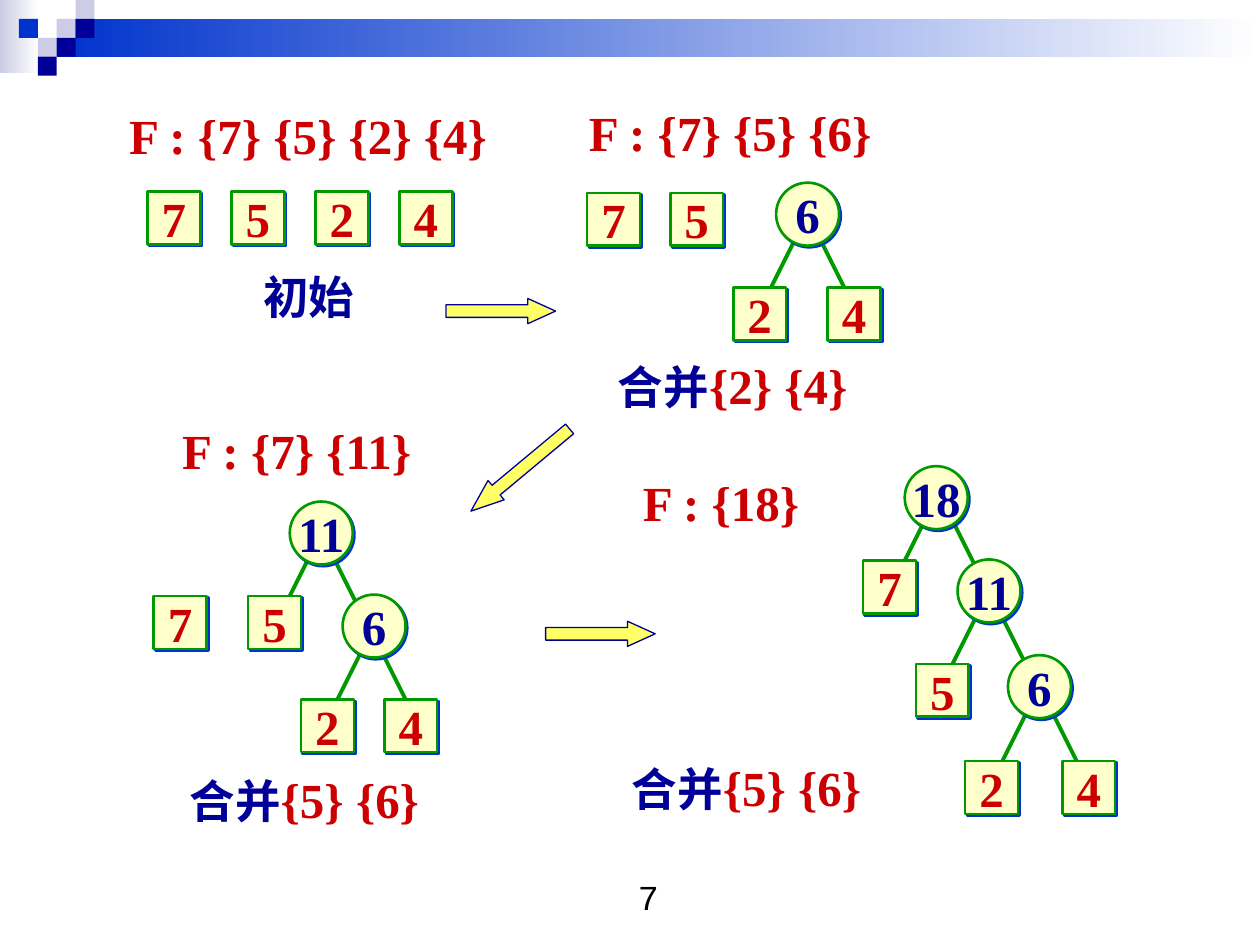
from lxml import etree
from pptx import Presentation
from pptx.dml.color import RGBColor
from pptx.enum.shapes import MSO_CONNECTOR, MSO_SHAPE
from pptx.enum.text import MSO_ANCHOR, MSO_AUTO_SIZE, PP_ALIGN
from pptx.oxml.ns import qn
from pptx.util import Pt

RECT, OVAL, ARROW = MSO_SHAPE.RECTANGLE, MSO_SHAPE.OVAL, MSO_SHAPE.RIGHT_ARROW
STRAIGHT = MSO_CONNECTOR.STRAIGHT
MIDDLE, CENTER = MSO_ANCHOR.MIDDLE, PP_ALIGN.CENTER
GROW = MSO_AUTO_SIZE.SHAPE_TO_FIT_TEXT

COLORS = {
    "white": "FFFFFF", "black": "000000", "lavender": "CCCCE6", "blue": "0033CC",
    "navy": "000099", "red": "CC0000", "cream": "FFFFCC", "green": "009900",
    "yellow": "FFFF66",
}
SERIF = "Times New Roman"
NODE_FRAME = {
    "margin_left": 0, "margin_right": 0, "margin_top": 0, "margin_bottom": 0,
    "vertical_anchor": MIDDLE, "word_wrap": False,
}
CAPTION_FRAME = {"vertical_anchor": MIDDLE, "word_wrap": False, "auto_size": GROW}
LEAF_SIZE, ROOT_SIZE = 30.24, 36
GRID = 10.8

HEADER_SQUARES = [
    (3, 1, "lavender"), (4, 0, "lavender"), (4, 1, "navy"), (2, 2, "lavender"),
    (1, 1, "blue"), (3, 2, "navy"), (2, 3, "navy"),
]
LEAVES = [
    *((label, 84.2 + 48 * i, 109.4) for i, label in enumerate("7524")),
    ("7", 335.5, 110.2), ("5", 383, 110.2), ("2", 419, 164.2), ("4", 473, 164.2),
    ("7", 87.8, 340.6), ("5", 141.8, 340.6), ("2", 172, 399.6), ("4", 219.6, 399.6),
    ("7", 493.2, 320.4), ("5", 523.4, 379.4), ("2", 551.5, 434.9), ("4", 607, 434.9),
]
ROOTS = [
    ("6", 443.5, 104.4, 30, 30),
    ("11", 165.6, 286.6, 30, 30), ("6", 195.8, 339.8, 30, 36),
    ("18", 517, 266.4, 30, 24.5), ("11", 547.2, 319.7, 30, 30), ("6", 576, 374.4, 30, 30),
]
FORESTS = [
    ("F : {7} {5} {2} {4}", 66.2, 56.9, 219.6),
    ("F : {7} {5} {6}", 329, 54.7, 176.4),
    ("F : {7} {11}", 96.5, 236.9, 146),
    ("F : {18}", 360, 266.2, 104),
]
MERGES = [("{2} {4}", 338.7, 199.4), ("{5} {6}", 93.9, 436.3), ("{5} {6}", 346.6, 429.1)]
STEPS = [
    (254.9, 170.6, 62.6, 1.1, 0),
    (260.6, 261.4, 73.4, 1.3, 140.2),
    (311.8, 355, 62.6, 1.1, 0),
]


def rgb(color):
    """Return the named colour."""
    return RGBColor.from_string(COLORS[color])


def apply_format(target, values):
    """Set each attribute in values on target."""
    for name, value in values.items():
        setattr(target, name, value)


def write_text(frame, runs, frame_format, font=SERIF, bold=True):
    """Write (text, size, colour) runs as one centred paragraph."""
    apply_format(frame, frame_format)
    paragraph = frame.paragraphs[0]
    paragraph.alignment = CENTER
    for text, size, color in runs:
        run = paragraph.add_run()
        run.text = text
        apply_format(run.font, {"name": font, "size": Pt(size), "bold": bold})
        run.font.color.rgb = rgb(color)


def add_text(slide, runs, left, top, width, height, frame_format, **style):
    """Add a text box."""
    box = slide.shapes.add_textbox(Pt(left), Pt(top), Pt(width), Pt(height))
    write_text(box.text_frame, runs, frame_format, **style)


def add_block(slide, kind, left, top, width, height, fill, line=None, weight=0):
    """Add a filled shape, outlined if a line colour is given."""
    block = slide.shapes.add_shape(kind, Pt(left), Pt(top), Pt(width), Pt(height))
    block.shadow.inherit = False
    block.fill.solid()
    block.fill.fore_color.rgb = rgb(fill)
    if line:
        block.line.color.rgb = rgb(line)
        block.line.width = Pt(weight)
    else:
        block.line.fill.background()
    return block


def add_fade(slide, left, top, width, height, color):
    """Add a bar that fades from a colour to white."""
    bar = add_block(slide, RECT, left, top, width, height, color)
    bar.fill.gradient()
    bar.fill.gradient_angle = 0
    for stop, name in zip(bar.fill.gradient_stops, (color, "white")):
        stop.color.rgb = rgb(name)


def add_header(slide):
    """Add the fading bars and the stair of small squares."""
    add_fade(slide, 0, 0, 22.3, 41.8, "lavender")
    add_fade(slide, 3 * GRID, GRID, 720 - 3 * GRID, 2 * GRID, "blue")
    for column, row, color in HEADER_SQUARES:
        add_block(slide, RECT, column * GRID, row * GRID, GRID, GRID, color)


def add_branch(slide, left, top, side):
    """Add a tree edge sloping down to the left (-1) or right (1)."""
    branch = slide.shapes.add_connector(
        STRAIGHT, Pt(left), Pt(top), Pt(left + side * 18), Pt(top + 36))
    branch.line.color.rgb = rgb("green")
    branch.line.width = Pt(2.25)
    etree.SubElement(branch._element.spPr, qn("a:effectLst"))


def add_node(slide, kind, label, left, top, size, color):
    """Add a labelled tree node with a hard blue shadow."""
    node = add_block(slide, kind, left, top, size, size, "cream", "green", 1.5)
    effects = node._element.spPr.find(qn("a:effectLst"))
    shadow = etree.SubElement(effects, qn("a:outerShdw"), dist=str(Pt(1.4)),
                              dir="2700000", algn="ctr", rotWithShape="0")
    etree.SubElement(shadow, qn("a:srgbClr"), val=COLORS["blue"])
    write_text(node.text_frame, [(label, 28, color)], NODE_FRAME)


def add_trees(slide):
    """Add all edges, then the nodes above them."""
    for _, left, top, *drops in ROOTS:
        for side, drop in zip((-1, 1), drops):
            add_branch(slide, left + ROOT_SIZE / 2 + side * 6, top + drop, side)
    for label, left, top in LEAVES:
        add_node(slide, RECT, label, left, top, LEAF_SIZE, "red")
    for label, left, top, *_ in ROOTS:
        add_node(slide, OVAL, label, left, top, ROOT_SIZE, "navy")


def add_step_arrow(slide, left, top, width, head, rotation):
    """Add a block arrow leading to the next step."""
    arrow = add_block(slide, ARROW, left, top, width, 14.4, "yellow", "navy", 0.75)
    arrow.adjustments[1] = head
    arrow.rotation = rotation


def main():
    """Build the slide on merging a forest into a Huffman tree."""
    deck = Presentation()
    apply_format(deck, {"slide_width": Pt(720), "slide_height": Pt(540)})
    slide = deck.slides.add_slide(deck.slide_layouts[6])
    add_header(slide)
    for forest, left, top, width in FORESTS:
        add_text(slide, [(forest, 28, "red")], left, top, width, 41, CAPTION_FRAME)
    add_text(slide, [("初始", 26, "navy")], 140.4, 149.8, 72, 38.9, CAPTION_FRAME)
    for pair, left, top in MERGES:
        runs = [("合并", 26, "navy"), (pair, 28, "red")]
        add_text(slide, runs, left, top, 160, 41, CAPTION_FRAME)
    add_trees(slide)
    for step in STEPS:
        add_step_arrow(slide, *step)
    add_text(slide, [("7", 20, "black")], 286.6, 496.8, 167.8, 37.4,
             {"word_wrap": True}, font="Courier New", bold=False)
    deck.save("out.pptx")


if __name__ == "__main__":
    main()
